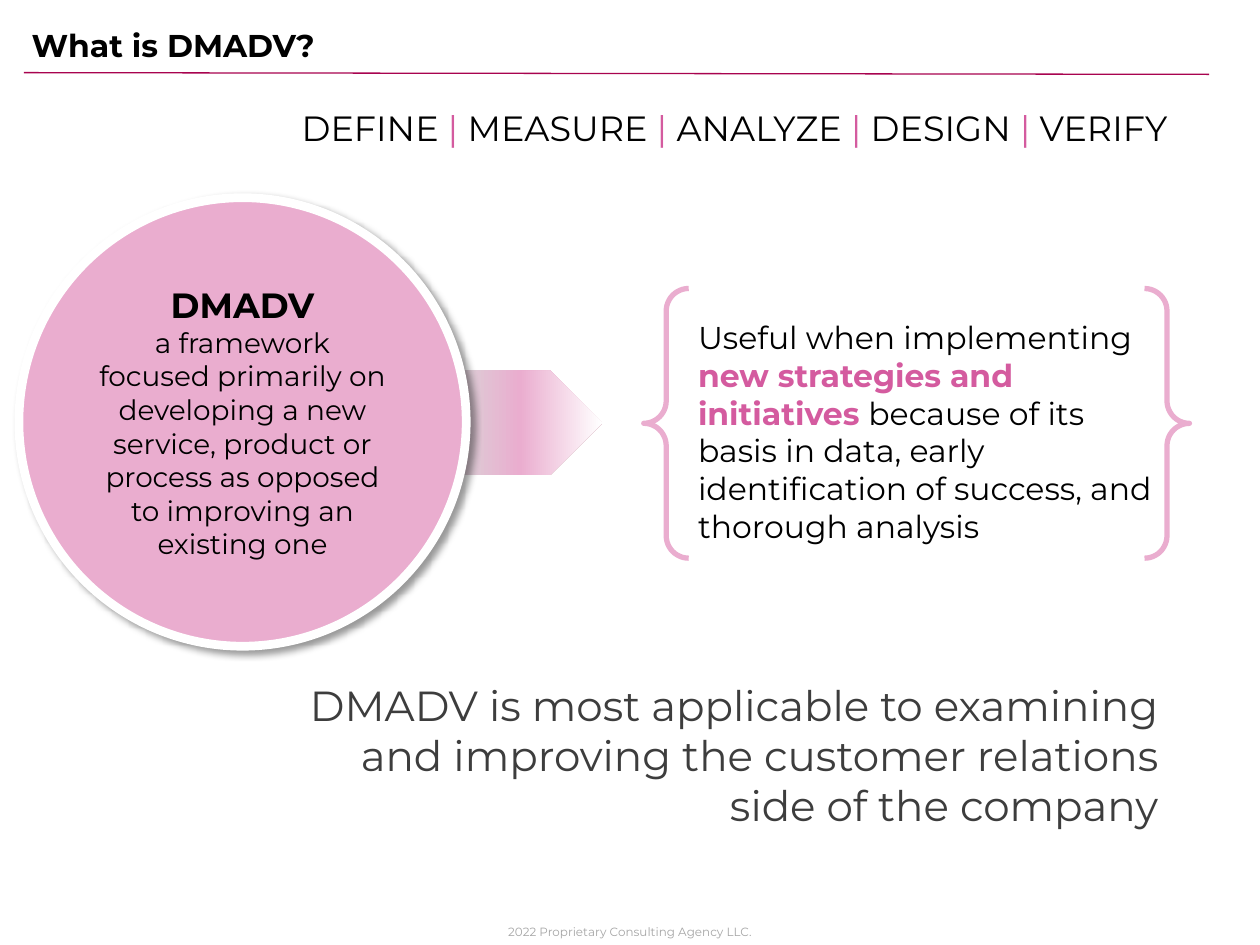
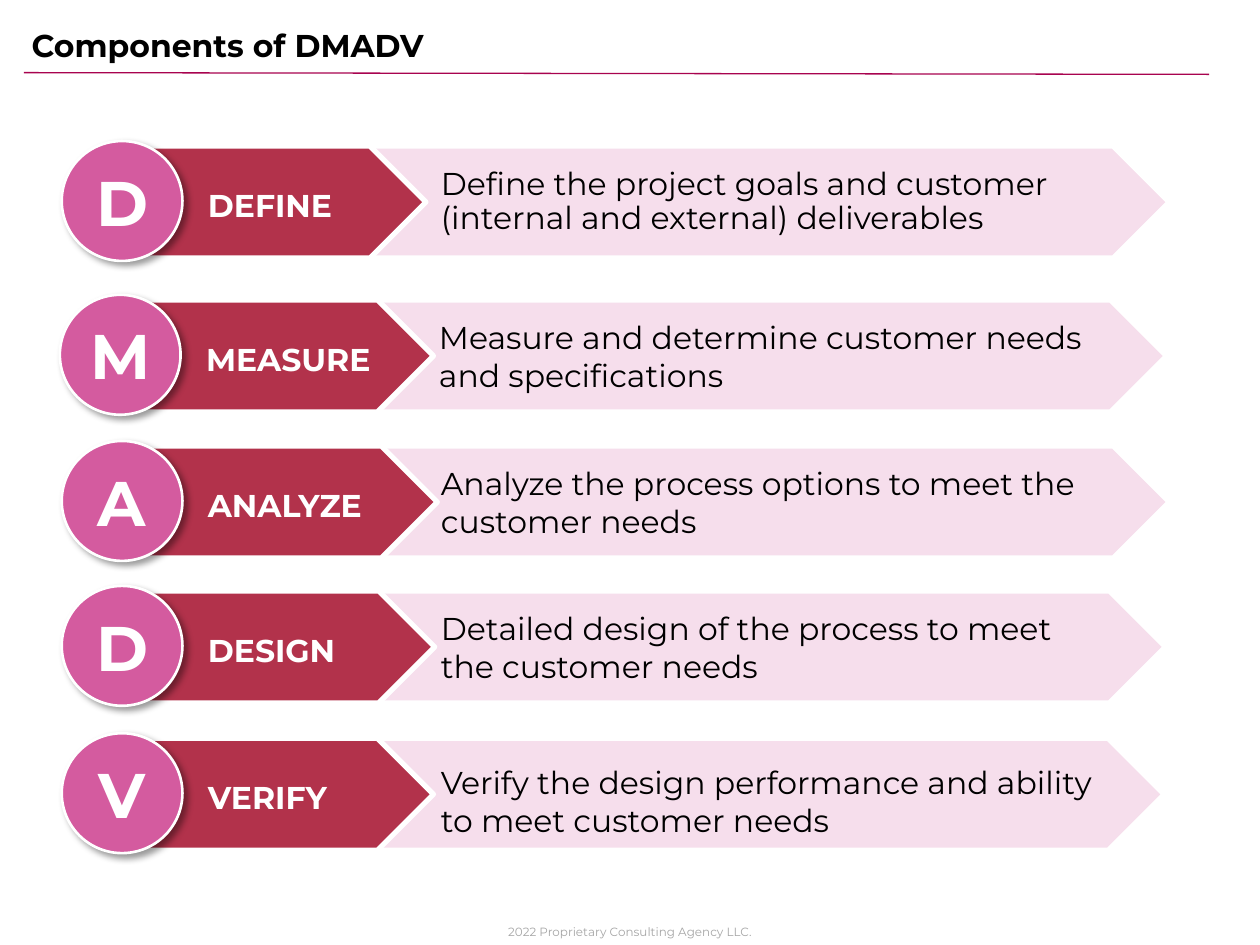
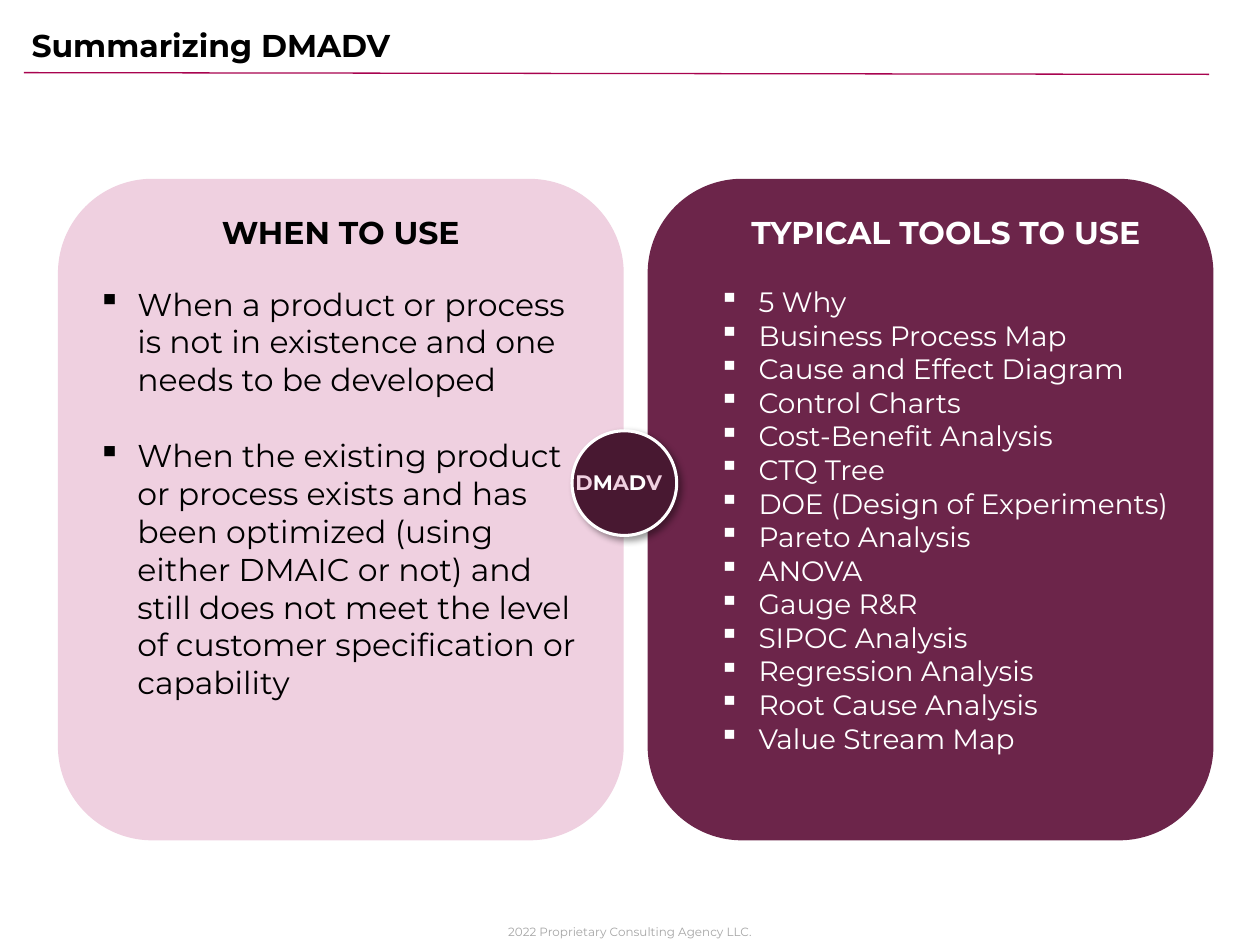
from dataclasses import dataclass

from lxml.etree import SubElement
from pptx import Presentation
from pptx.dml.color import RGBColor
from pptx.enum.shapes import MSO_CONNECTOR, MSO_SHAPE
from pptx.enum.text import MSO_ANCHOR, MSO_AUTO_SIZE, PP_ALIGN
from pptx.oxml.ns import qn
from pptx.util import Pt

FONT = "Montserrat"
BLACK, WHITE = "000000", "FFFFFF"
PINK, LIGHT_PINK, PALE_PINK, BLUSH = "D45B9F", "EAADCF", "F6DEEC", "EFD0E0"
CRIMSON, PLUM, DARK_PLUM = "B2324B", "6C254A", "481831"
RULE_COLOR, FOOTER_GRAY, TEXT_GRAY = "A8034F", "A6A6A6", "3D3D3D"
FOOTER = "2022 Proprietary Consulting Agency LLC."

ROW_HEIGHT = 64
CIRCLE_WIDTH, CIRCLE_HEIGHT = 69, 68.5
BULLET_INDENT = 22.5


@dataclass(frozen=True)
class Box:
    left: float
    top: float
    width: float
    height: float


@dataclass(frozen=True)
class Run:
    text: str
    color: str = BLACK
    bold: bool = False


@dataclass(frozen=True)
class Component:
    """One row of the components slide; lengths in points."""
    name: str
    description: str
    top: float
    band_left: float
    tag_left: float
    description_width: float
    circle_left: float = 35.3
    description_shift: float = 0
    line_spacing: float = 1


@dataclass(frozen=True)
class Panel:
    heading: str
    bullets: tuple[str, ...]
    left: float
    fill: str
    color: str
    size: float
    heading_indent: float
    bullet_margin: float
    bullet_gap: float


COMPONENTS = (
    Component("DEFINE", "Define the project goals and customer (internal and external) deliverables",
              83.5, 161.3, 68.4, 410.4, line_spacing=0.9),
    Component("MEASURE", "Measure and determine customer needs and specifications",
              171.4, 159.8, 72.7, 395.3, circle_left=34.2),
    Component("ANALYZE", "Analyze the process options to meet the customer needs",
              254.9, 161.3, 74.9, 394.6),
    Component("DESIGN", "Detailed design of the process to meet the customer needs",
              337.7, 159.1, 73.4, 391.7),
    Component("VERIFY", "Verify the design performance and ability to meet customer needs",
              421.9, 158.4, 72.7, 391.7, description_shift=3.6),
)

PANELS = (
    Panel("WHEN TO USE", (
        "When a product or process is not in existence and one needs to be developed",
        "When the existing product or process exists and has been optimized (using either DMAIC "
        "or not) and still does not meet the level of customer specification or capability",
    ), 33.1, BLUSH, BLACK, 18, 0, BULLET_INDENT, 22),
    Panel("TYPICAL TOOLS TO USE", (
        "5 Why", "Business Process Map", "Cause and Effect Diagram", "Control Charts",
        "Cost-Benefit Analysis", "CTQ Tree", "DOE (Design of Experiments)", "Pareto Analysis",
        "ANOVA", "Gauge R&R", "SIPOC Analysis", "Regression Analysis", "Root Cause Analysis",
        "Value Stream Map",
    ), 370.1, PLUM, WHITE, 16, 17.5, 40.5, 0),
)


def rgb(color: str) -> RGBColor:
    return RGBColor.from_string(color)


def add_text(shape, content, *, size, color=BLACK, bold=False, align=PP_ALIGN.LEFT,
             line_spacing=1, space_after=0, margin=0, bullet=False):
    """Append a paragraph, given as a string or a sequence of runs, to the shape's text."""
    frame = shape.text_frame
    paragraph = frame.add_paragraph() if frame.text else frame.paragraphs[0]
    paragraph.alignment = align
    paragraph.line_spacing = line_spacing
    paragraph.space_after = Pt(space_after)
    properties = paragraph._p.get_or_add_pPr()
    if margin:
        properties.set("marL", str(Pt(margin)))
    if bullet:
        properties.set("indent", str(-Pt(BULLET_INDENT)))
        SubElement(properties, qn("a:buChar"), char="▪")
    runs = [Run(content, color, bold)] if isinstance(content, str) else content
    for part in runs:
        run = paragraph.add_run()
        run.text = part.text
        run.font.name = FONT
        run.font.size = Pt(size)
        run.font.bold = part.bold
        run.font.color.rgb = rgb(part.color)


def set_frame(shape, anchor=MSO_ANCHOR.TOP, margins=(7.2, 3.6, 7.2, 3.6), wrap=True):
    frame = shape.text_frame
    frame.word_wrap = wrap
    frame.auto_size = MSO_AUTO_SIZE.NONE
    frame.vertical_anchor = anchor
    (frame.margin_left, frame.margin_top,
     frame.margin_right, frame.margin_bottom) = map(Pt, margins)


def add_text_box(slide, box: Box, wrap=True):
    shape = slide.shapes.add_textbox(Pt(box.left), Pt(box.top), Pt(box.width), Pt(box.height))
    set_frame(shape, wrap=wrap)
    return shape


def add_shape(slide, kind, box: Box, *, fill=None, line=None, line_width=1.0, shadow=False,
              anchor=MSO_ANCHOR.MIDDLE, adjustment=None):
    shape = slide.shapes.add_shape(kind, Pt(box.left), Pt(box.top), Pt(box.width), Pt(box.height))
    if fill:
        shape.fill.solid()
        shape.fill.fore_color.rgb = rgb(fill)
    else:
        shape.fill.background()
    if line:
        shape.line.color.rgb = rgb(line)
        shape.line.width = Pt(line_width)
    else:
        shape.line.fill.background()
    if adjustment is not None:
        shape.adjustments[0] = adjustment
    shape.shadow.inherit = False
    if shadow:
        add_shadow(shape)
    set_frame(shape, anchor)
    return shape


def add_shadow(shape):
    effects = shape.element.spPr.find(qn("a:effectLst"))
    outer = SubElement(effects, qn("a:outerShdw"), blurRad=str(Pt(4)), dist=str(Pt(3)),
                       dir=str(45 * 60000), algn="tl", rotWithShape="0")
    color = SubElement(outer, qn("a:srgbClr"), val=BLACK)
    SubElement(color, qn("a:alpha"), val="40000")


def set_gradient(shape, stops):
    """Fill from left to right with (percent, colour) stops."""
    shape.fill.gradient()
    shape.fill.gradient_angle = 0
    stop_list = shape.element.spPr.find(qn("a:gradFill")).find(qn("a:gsLst"))
    for stop in list(stop_list):
        stop_list.remove(stop)
    for percent, color in stops:
        stop = SubElement(stop_list, qn("a:gs"), pos=str(percent * 1000))
        SubElement(stop, qn("a:srgbClr"), val=color)


def add_slide(presentation, title_text: str):
    """Add a slide with the shared title, rule and footer."""
    slide = presentation.slides.add_slide(presentation.slide_layouts[5])
    title = slide.shapes.title
    title.left, title.top, title.width, title.height = Pt(10.8), Pt(11.5), Pt(700), Pt(29)
    set_frame(title)
    add_text(title, title_text, size=18, bold=True)

    rule = slide.shapes.add_connector(MSO_CONNECTOR.STRAIGHT,
                                      Pt(13.7), Pt(41.5), Pt(691), Pt(42.5))
    rule.line.color.rgb = rgb(RULE_COLOR)
    rule.line.width = Pt(0.75)
    SubElement(rule.element.spPr, qn("a:effectLst"))

    footer = add_text_box(slide, Box(279.4, 524.9, 161.3, 15))
    add_text(footer, FOOTER, size=6.8, color=FOOTER_GRAY, align=PP_ALIGN.CENTER)
    return slide


def build_definition(presentation):
    slide = add_slide(presentation, "What is DMADV?")

    conclusion = add_text_box(slide, Box(146.2, 384.5, 522.7, 94.3))
    add_text(conclusion, "DMADV is most applicable to examining and improving the customer "
             "relations side of the company", size=24, color=TEXT_GRAY, align=PP_ALIGN.RIGHT)

    arrow = add_shape(slide, MSO_SHAPE.PENTAGON, Box(254.2, 211.7, 90, 59.8))
    set_gradient(arrow, ((0, "D8D8D8"), (48, LIGHT_PINK), (100, WHITE)))

    circle = add_shape(slide, MSO_SHAPE.OVAL, Box(10.8, 113, 255.6, 256.3), fill=LIGHT_PINK,
                       line=WHITE, line_width=5, shadow=True)
    add_text(circle, "DMADV", size=20, bold=True, align=PP_ALIGN.CENTER)
    add_text(circle, "a framework focused primarily on developing a new service, product or "
             "process as opposed to improving an existing one", size=16, align=PP_ALIGN.CENTER)

    braces = add_shape(slide, MSO_SHAPE.DOUBLE_BRACE, Box(367.9, 164.9, 311.8, 154.1),
                       line=LIGHT_PINK, line_width=3)
    set_frame(braces, MSO_ANCHOR.MIDDLE, (14.4, 0, 0, 3.6))
    add_text(braces, (
        Run("Useful when implementing "),
        Run("new strategies and initiatives ", PINK, True),
        Run("because of its basis in data, early identification of success, and thorough analysis"),
    ), size=18)

    phases = []
    for component in COMPONENTS:
        phases += [Run(" | ", PINK), Run(component.name)]
    phase_line = add_text_box(slide, Box(133.2, 57.6, 573.1, 31.7))
    add_text(phase_line, phases[1:], size=20, align=PP_ALIGN.CENTER)


def add_component(slide, row: Component):
    for left, width, fill in ((row.band_left, 506.9, PALE_PINK), (row.tag_left, 175, CRIMSON)):
        add_shape(slide, MSO_SHAPE.PENTAGON, Box(left, row.top, width, ROW_HEIGHT),
                  fill=fill, line=WHITE, line_width=3)

    description_left = row.circle_left + 208
    description = add_shape(
        slide, MSO_SHAPE.ROUNDED_RECTANGLE,
        Box(description_left, row.top + 5 + row.description_shift, row.description_width, 54),
        adjustment=0.1)
    add_text(description, row.description, size=18, line_spacing=row.line_spacing)

    circle = add_shape(slide, MSO_SHAPE.OVAL,
                       Box(row.circle_left, row.top - 2.9, CIRCLE_WIDTH, CIRCLE_HEIGHT),
                       fill=PINK, line=WHITE, line_width=1.5, shadow=True)
    add_text(circle, row.name[0], size=36, color=WHITE, bold=True, align=PP_ALIGN.CENTER)

    label = add_shape(slide, MSO_SHAPE.ROUNDED_RECTANGLE,
                      Box(row.circle_left + 75.6, row.top + 20.5, 121.7, 28.8), adjustment=0.1)
    add_text(label, row.name, size=18, color=WHITE, bold=True, line_spacing=0.9)


def build_components(presentation):
    slide = add_slide(presentation, "Components of DMADV")
    for row in COMPONENTS:
        add_component(slide, row)


def add_panel(slide, panel: Panel):
    shape = add_shape(slide, MSO_SHAPE.ROUNDED_RECTANGLE, Box(panel.left, 102.2, 323.3, 378),
                      fill=panel.fill, anchor=MSO_ANCHOR.TOP)
    add_text(shape, panel.heading, size=18, color=panel.color, bold=True,
             align=PP_ALIGN.CENTER, margin=panel.heading_indent, space_after=19.5)
    for bullet in panel.bullets:
        add_text(shape, bullet, size=panel.size, color=panel.color, bullet=True,
                 margin=panel.bullet_margin, space_after=panel.bullet_gap)


def build_summary(presentation):
    slide = add_slide(presentation, "Summarizing DMADV")
    for panel in PANELS:
        add_panel(slide, panel)
    add_shape(slide, MSO_SHAPE.OVAL, Box(326.9, 246.2, 59.8, 59.8), fill=DARK_PLUM,
              line=WHITE, line_width=1.75, shadow=True)
    badge = add_text_box(slide, Box(321.8, 265, 64.8, 21.6), wrap=False)
    add_text(badge, [Run(letter, WHITE if index % 2 else BLUSH, True)
                     for index, letter in enumerate("DMADV")], size=12)


def main():
    presentation = Presentation()
    presentation.slide_width, presentation.slide_height = Pt(720), Pt(540)
    build_definition(presentation)
    build_components(presentation)
    build_summary(presentation)
    presentation.save("out.pptx")


if __name__ == "__main__":
    main()
